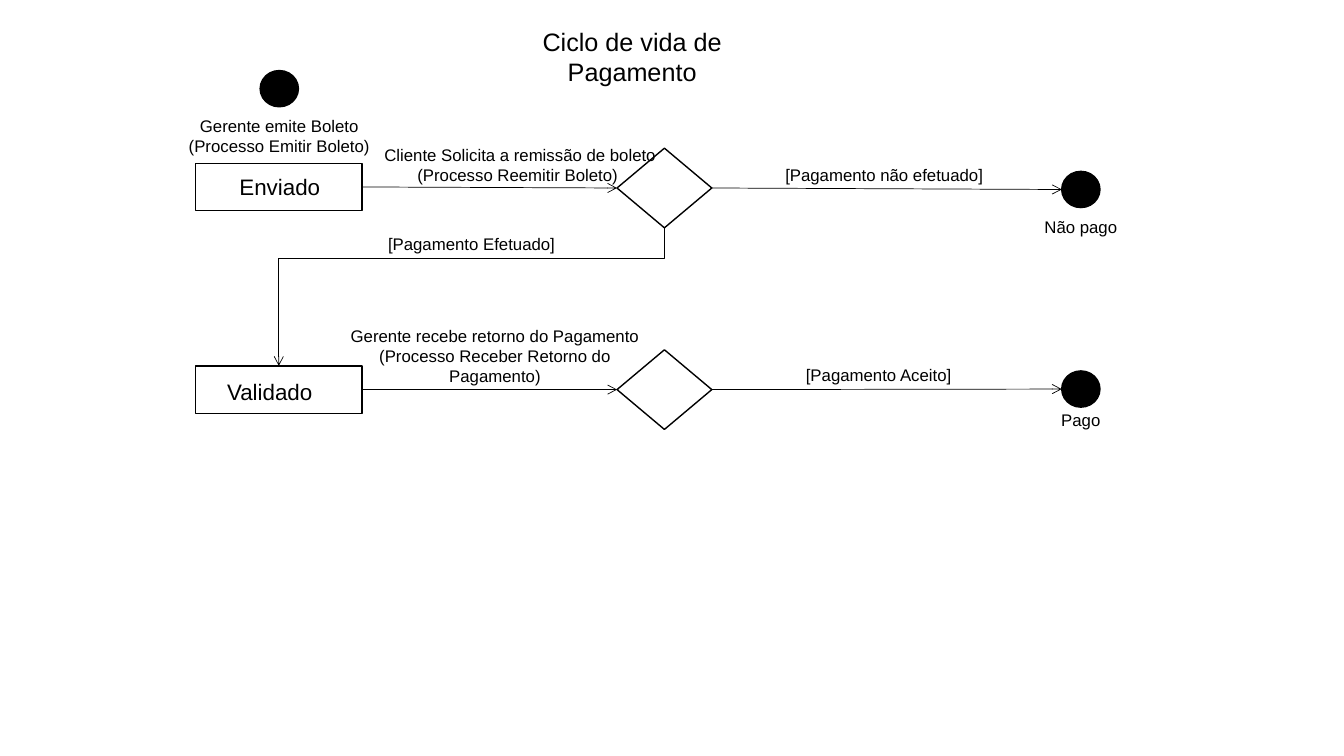
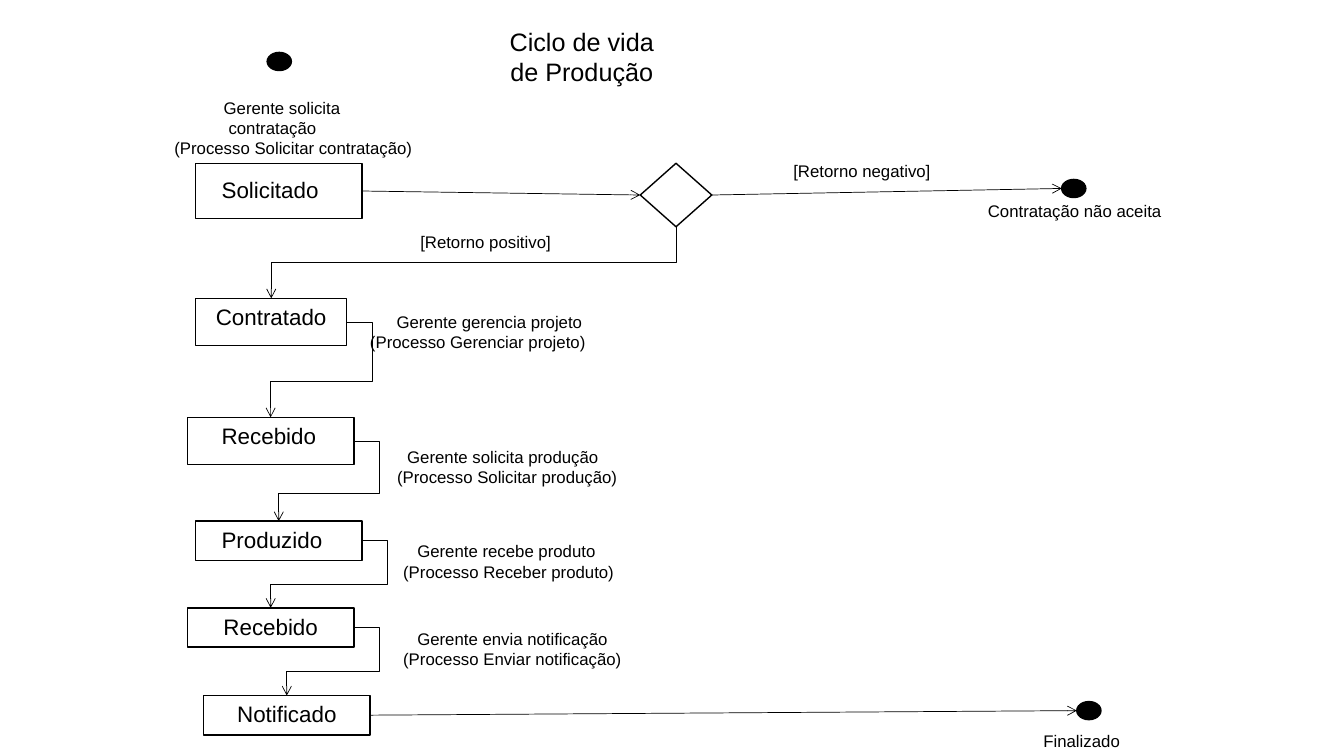
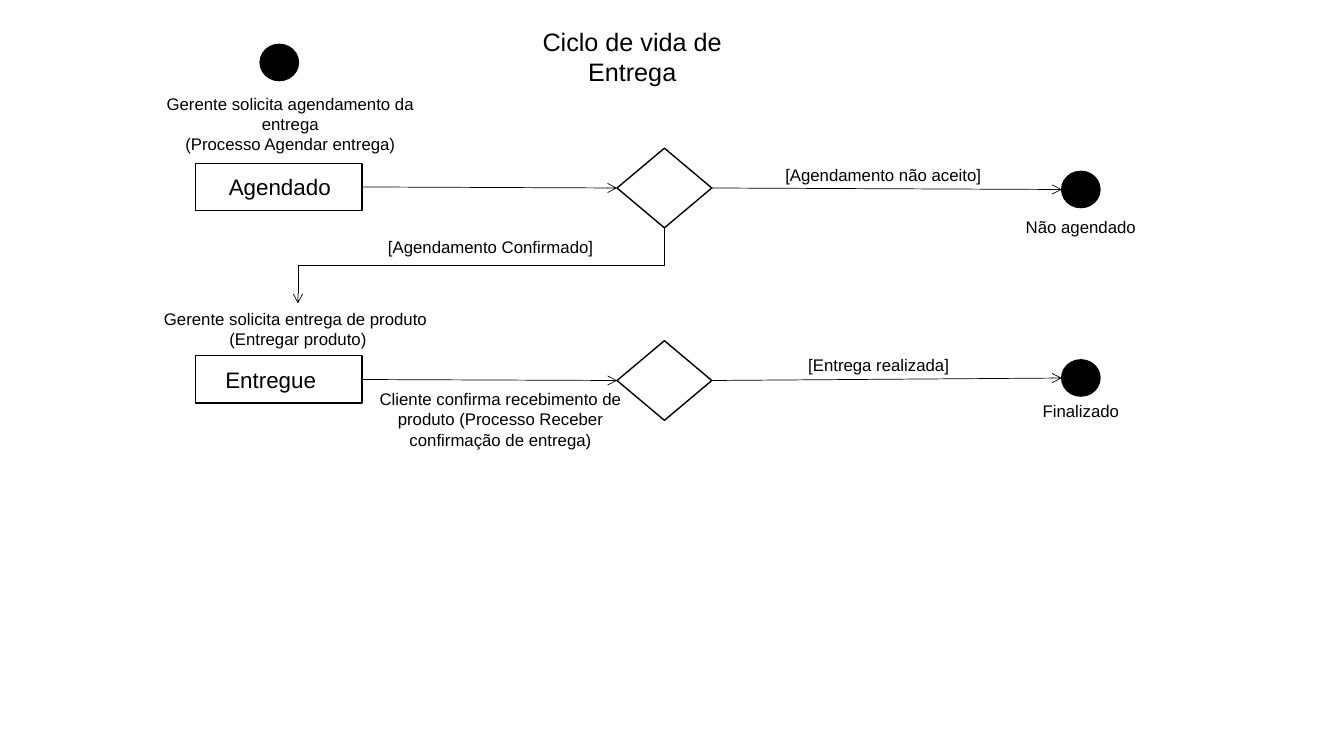
from pptx import Presentation
from pptx.dml.color import RGBColor
from pptx.enum.shapes import MSO_CONNECTOR as Link, MSO_SHAPE as Preset
from pptx.enum.text import MSO_AUTO_SIZE as AutoSize, PP_ALIGN as Align
from pptx.oxml.ns import qn
from pptx.util import Inches, Pt
from lxml.etree import SubElement

COLORS = {"ink": "000000", "paper": "FFFFFF"}
FONT = "Arial"
SIZES = {"title": 18, "state": 16, "note": 12}
ALIGNS = {"center": Align.CENTER, "left": Align.LEFT}
SLIDE_SIZE = (13.33, 7.5)
STATE_X, CHOICE_X, BRANCH_X, END_X, END_NOTE_X = 1.94, 6.12, 7.69, 10.53, 10.01
TITLE_X, TITLE_Y = 4.93, 0.21
STATE, CHOICE, DOT = (1.65, 0.47), (0.94, 0.79), (0.38, 0.36)
SLIM_STATE, SMALL_CHOICE, SMALL_DOT = (1.65, 0.39), (0.71, 0.63), (0.24, 0.18)
LOOP_REACH = 0.25

# state: key -> text, left, top, size, label (left, top, width, align)
# choice and dot: key -> left, top, size
# note: key -> left, top, width, align, lines; a line may be (text, first-line indent)
# arrow: from, to; drop: from, to, share of the height at the bend; loop: likewise
SLIDES = [
    {
        "title": ("Ciclo de vida de Pagamento", 2.68),
        "states": {
            "sent": ("Enviado", STATE_X, 1.62, STATE, (1.95, 1.67, 1.65, "center")),
            "valid": ("Validado", STATE_X, 3.63, STATE, (1.85, 3.7, 1.65, "center")),
        },
        "choices": {"paid?": (CHOICE_X, 1.47, CHOICE), "accepted?": (CHOICE_X, 3.47, CHOICE)},
        "dots": {"start": (2.58, 0.7, DOT), "unpaid": (END_X, 1.7, DOT),
                 "paid": (END_X, 3.68, DOT)},
        "notes": {
            "issue": (1.53, 1.1, 2.48, "center",
                      ["Gerente emite Boleto", "(Processo Emitir Boleto)"]),
            "reissue": (3.2, 1.39, 3.5, "center",
                        [("Cliente Solicita a remissão de boleto", 0.42),
                         ("(Processo Reemitir Boleto)", 0.37)]),
            "no": (BRANCH_X, 1.59, 2.17, "left", ["[Pagamento não efetuado]"]),
            "yes": (3.75, 2.27, 1.95, "left", ["[Pagamento Efetuado]"]),
            "accepted": (BRANCH_X, 3.57, 2.05, "center", ["[Pagamento Aceito]"]),
            "return": (3.26, 3.18, 3.3, "center",
                       ["Gerente recebe retorno do Pagamento",
                        "(Processo Receber Retorno do Pagamento)"]),
            "unpaid end": (END_NOTE_X, 2.1, 1.42, "center", ["Não pago"]),
            "paid end": (END_NOTE_X, 4.02, 1.42, "center", ["Pago"]),
        },
        "arrows": [("sent", "paid?"), ("paid?", "unpaid"),
                   ("valid", "accepted?"), ("accepted?", "paid")],
        "drops": [("paid?", "valid", 0.22)],
        "loops": [],
    },
    {
        "title": ("Ciclo de vida de Produção", 1.68),
        "states": {
            "requested": ("Solicitado", STATE_X, 1.62, (1.65, 0.55), (2.1, 1.7, 1.18, "left")),
            "hired": ("Contratado", STATE_X, 2.96, (1.5, 0.47), (2.02, 2.96, 1.34, "center")),
            "received": ("Recebido", 1.86, 4.14, STATE, (2.1, 4.14, 1.26, "left")),
            "produced": ("Produzido", STATE_X, 5.17, SLIM_STATE, (2.1, 5.17, 1.26, "left")),
            "delivered": ("Recebido", 1.86, 6.03, SLIM_STATE, (1.86, 6.03, 1.65, "center")),
            "notified": ("Notificado", 2.02, 6.9, SLIM_STATE, (2.02, 6.9, 1.65, "center")),
        },
        "choices": {"answer?": (6.35, 1.62, SMALL_CHOICE)},
        "dots": {"start": (2.65, 0.52, SMALL_DOT), "refused": (END_X, 1.78, SMALL_DOT),
                 "done": (10.68, 6.96, SMALL_DOT)},
        "notes": {
            "request": (1.15, 0.92, 3.15, "center",
                        [("Gerente solicita ", 0.19), "contratação ",
                         ("(Processo Solicitar contratação)", 0.37)]),
            "manage": (3.36, 3.04, 2.76, "center",
                       [("Gerente gerencia projeto (Processo Gerenciar projeto)", 0.23)]),
            "no": (7.77, 1.55, 1.65, "left", ["[Retorno negativo]"]),
            "yes": (4.07, 2.25, 1.73, "left", ["[Retorno positivo]"]),
            "produce": (3.52, 4.38, 2.76, "left",
                        [("Gerente solicita produção", 0.42),
                         ("(Processo Solicitar produção)", 0.32)]),
            "receive": (3.67, 5.32, 2.68, "left",
                        [("Gerente recebe produto", 0.37),
                         ("(Processo Receber produto)", 0.23)]),
            "notify": (3.67, 6.19, 2.68, "left",
                       [("Gerente envia notificação", 0.37),
                        ("(Processo Enviar notificação)", 0.23)]),
            "refused end": (9.7, 1.94, 1.97, "left", ["Contratação não aceita"]),
            "done end": (10.25, 7.2, 1.42, "left", ["Finalizado"]),
        },
        "arrows": [("requested", "answer?"), ("answer?", "refused"), ("notified", "done")],
        "drops": [("answer?", "hired", 0.5)],
        "loops": [("hired", "received", 0.62), ("received", "produced", 0.65),
                  ("produced", "delivered", 0.65), ("delivered", "notified", 0.64)],
    },
    {
        "title": ("Ciclo de vida de Entrega", 2.68),
        "states": {
            "booked": ("Agendado", STATE_X, 1.62, STATE, (1.95, 1.67, 1.65, "center")),
            "delivered": ("Entregue", STATE_X, 3.53, STATE, (1.86, 3.58, 1.65, "center")),
        },
        "choices": {"agreed?": (CHOICE_X, 1.47, CHOICE), "made?": (CHOICE_X, 3.38, CHOICE)},
        "dots": {"start": (2.58, 0.44, DOT), "unbooked": (END_X, 1.7, DOT),
                 "done": (END_X, 3.57, DOT)},
        "notes": {
            "book": (1.53, 0.88, 2.7, "center",
                     ["Gerente solicita agendamento da entrega", "(Processo Agendar entrega)"]),
            "deliver": (1.2, 3.01, 3.51, "center",
                        ["Gerente solicita entrega de produto ", "(Entregar produto)"]),
            "no": (BRANCH_X, 1.59, 2.17, "left", ["[Agendamento não aceito]"]),
            "yes": (3.75, 2.3, 2.36, "left", ["[Agendamento Confirmado]"]),
            "made": (BRANCH_X, 3.47, 2.05, "center", ["[Entrega realizada]"]),
            "confirm": (3.55, 3.81, 2.83, "center",
                        ["Cliente confirma recebimento de produto "
                         "(Processo Receber confirmação de entrega)"]),
            "unbooked end": (END_NOTE_X, 2.1, 1.42, "center", ["Não agendado"]),
            "done end": (END_NOTE_X, 3.93, 1.42, "center", ["Finalizado"]),
        },
        "arrows": [("booked", "agreed?"), ("agreed?", "unbooked"),
                   ("delivered", "made?"), ("made?", "done")],
        "drops": [("agreed?", "deliver", 0.5)],
        "loops": [],
    },
]


def color(name):
    """Return the named colour."""
    return RGBColor.from_string(COLORS[name])


def add_node(slide, preset, fill, left, top, size):
    """Draw an outlined shape and return its box."""
    box = (left, top, *size)
    shape = slide.shapes.add_shape(preset, *map(Inches, box))
    shape.shadow.inherit = False
    shape.fill.solid()
    shape.fill.fore_color.rgb = color(fill)
    shape.line.color.rgb = color("ink")
    shape.line.width = Pt(1)
    return box


def add_text(slide, style, left, top, width, align, lines):
    """Write lines in a text box that grows with them, and return its box."""
    box = (left, top, width, SIZES[style] * 1.2 * len(lines) / 72 + 0.1)
    frame = slide.shapes.add_textbox(*map(Inches, box)).text_frame
    for name, value in {"word_wrap": True, "auto_size": AutoSize.SHAPE_TO_FIT_TEXT}.items():
        setattr(frame, name, value)
    for index, line in enumerate(lines):
        text, indent = line if isinstance(line, tuple) else (line, 0)
        paragraph = frame.paragraphs[0] if index == 0 else frame.add_paragraph()
        paragraph.alignment = ALIGNS[align]
        if indent:
            paragraph._p.get_or_add_pPr().set("indent", str(Inches(indent)))
        run = paragraph.add_run()
        run.text = text
        for name, value in {"name": FONT, "size": Pt(SIZES[style])}.items():
            setattr(run.font, name, value)
        run.font.color.rgb = color("ink")
    return box


def port(box, side):
    """Return the middle of one side of a box."""
    left, top, width, height = box
    across, down = {"left": (0, 0.5), "right": (1, 0.5),
                    "top": (0.5, 0), "bottom": (0.5, 1)}[side]
    return left + across * width, top + down * height


def add_arrow(slide, start, end, preset="line", bends=(), turn=0):
    """Draw an arrow, with bends given as shares of its frame."""
    kind = Link.ELBOW if bends else Link.STRAIGHT
    connector = slide.shapes.add_connector(kind, *map(Inches, (*start, *end)))
    connector.line.color.rgb = color("ink")
    connector.line.width = Pt(0.5)
    properties = connector._element.spPr
    if turn:
        properties.find(qn("a:xfrm")).set("rot", str(turn * 60000))
    geometry = properties.find(qn("a:prstGeom"))
    geometry.set("prst", preset)
    guides = geometry.find(qn("a:avLst"))
    for number, share in enumerate(bends, 1):
        name = "adj" if preset == "line" else f"adj{number}"
        SubElement(guides, qn("a:gd"), name=name, fmla=f"val {round(share * 100000)}")
    SubElement(connector.line._get_or_add_ln(), qn("a:tailEnd"), type="arrow")
    SubElement(properties, qn("a:effectLst"))


def add_drop(slide, start, end, bend):
    """Draw a down, across, down arrow as an elbow turned a quarter."""
    middle_x, middle_y = (start[0] + end[0]) / 2, (start[1] + end[1]) / 2
    half_drop, half_run = (end[1] - start[1]) / 2, (start[0] - end[0]) / 2
    add_arrow(slide, (middle_x - half_drop, middle_y - half_run),
              (middle_x + half_drop, middle_y + half_run), "bentConnector3", (bend,), 90)


def add_loop(slide, start, end, bend):
    """Draw an arrow that leaves to the right and comes back from above."""
    reach = -LOOP_REACH / (start[0] - end[0])
    add_arrow(slide, start, end, "bentConnector4", (reach, bend))


def build_slide(presentation, content):
    """Draw one life cycle: nodes, arrows, then notes."""
    slide = presentation.slides.add_slide(presentation.slide_layouts[6])
    title, title_width = content["title"]
    add_text(slide, "title", TITLE_X, TITLE_Y, title_width, "center", [title])
    boxes = {}
    for key, (text, left, top, size, label) in content["states"].items():
        boxes[key] = add_node(slide, Preset.RECTANGLE, "paper", left, top, size)
        add_text(slide, "state", *label, [text])
    for group, preset, fill in (("choices", Preset.DIAMOND, "paper"),
                                ("dots", Preset.FLOWCHART_CONNECTOR, "ink")):
        for key, place in content[group].items():
            boxes[key] = add_node(slide, preset, fill, *place)
    for key, note in content["notes"].items():
        boxes[key] = add_text(slide, "note", *note)
    for source, target in content["arrows"]:
        add_arrow(slide, port(boxes[source], "right"), port(boxes[target], "left"))
    for group, side, draw in (("drops", "bottom", add_drop), ("loops", "right", add_loop)):
        for source, target, bend in content[group]:
            draw(slide, port(boxes[source], side), port(boxes[target], "top"), bend)


def main():
    """Build and save the presentation."""
    presentation = Presentation()
    presentation.slide_width, presentation.slide_height = map(Inches, SLIDE_SIZE)
    for content in SLIDES:
        build_slide(presentation, content)
    presentation.save("out.pptx")


main()
